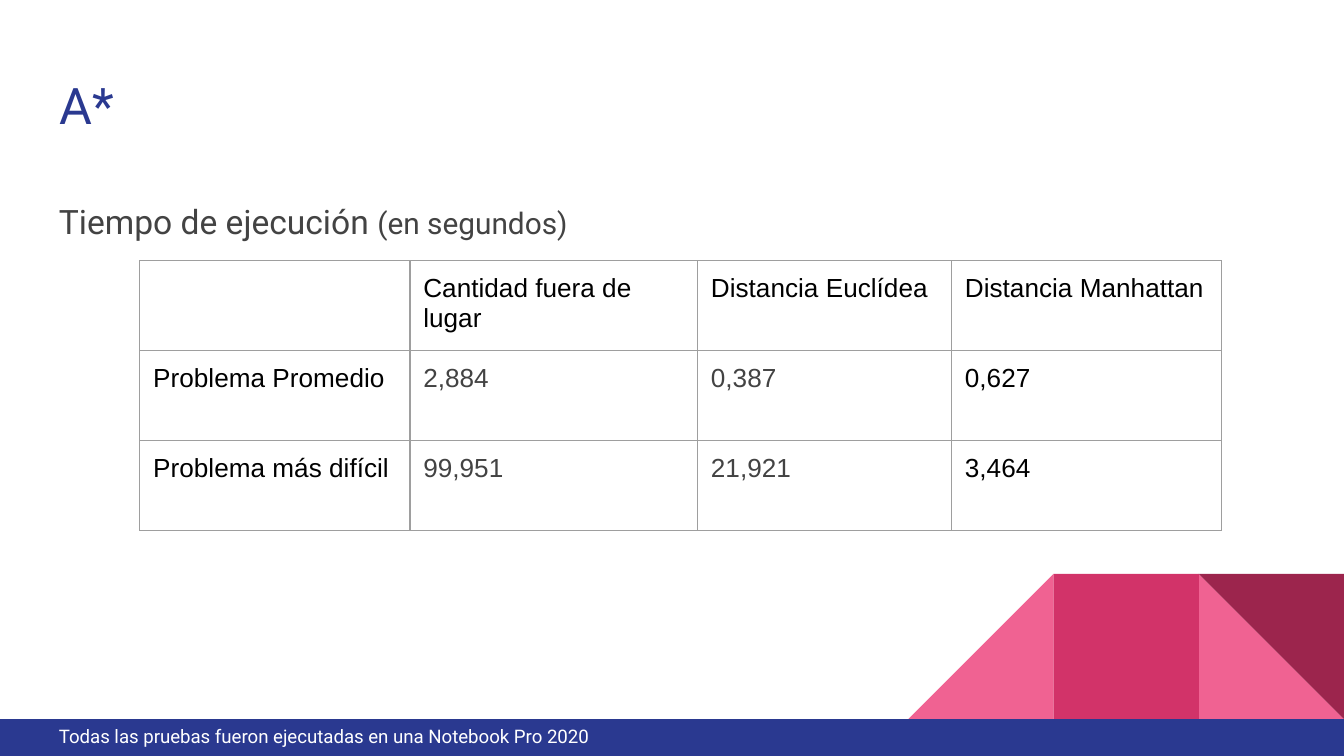
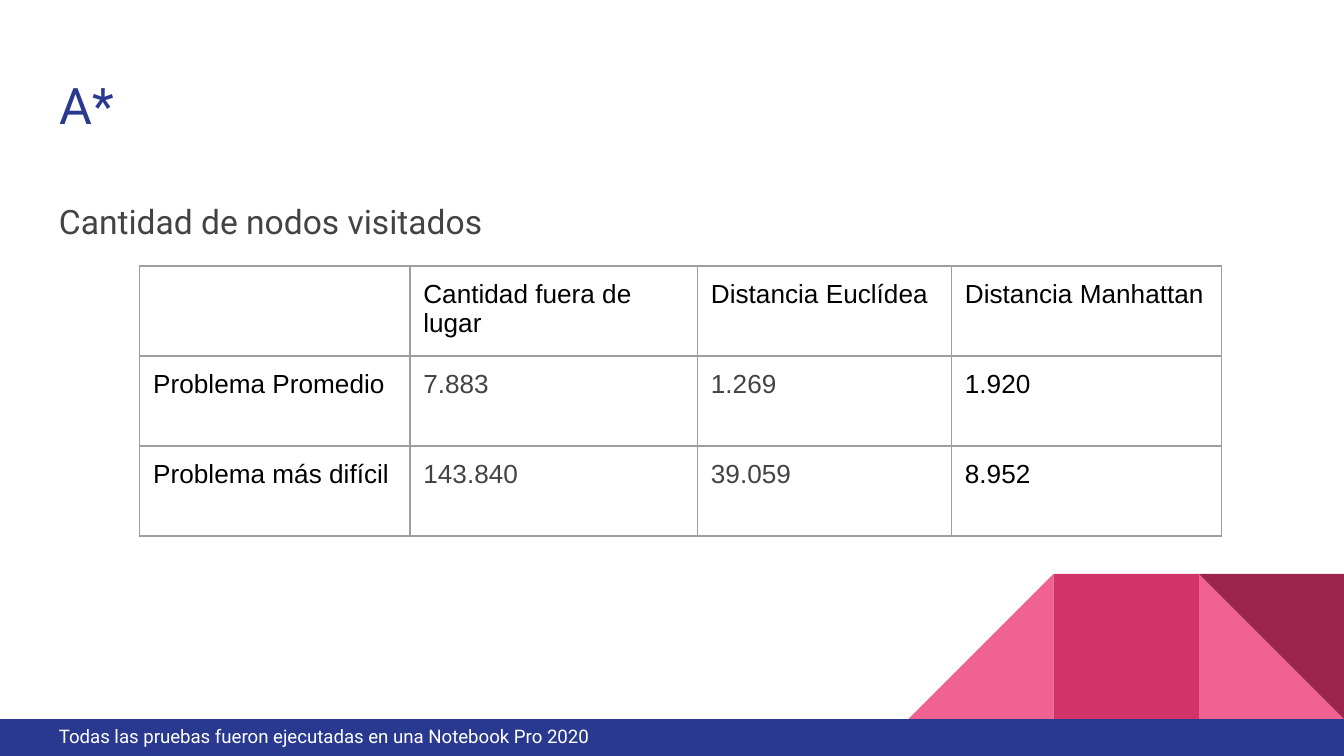
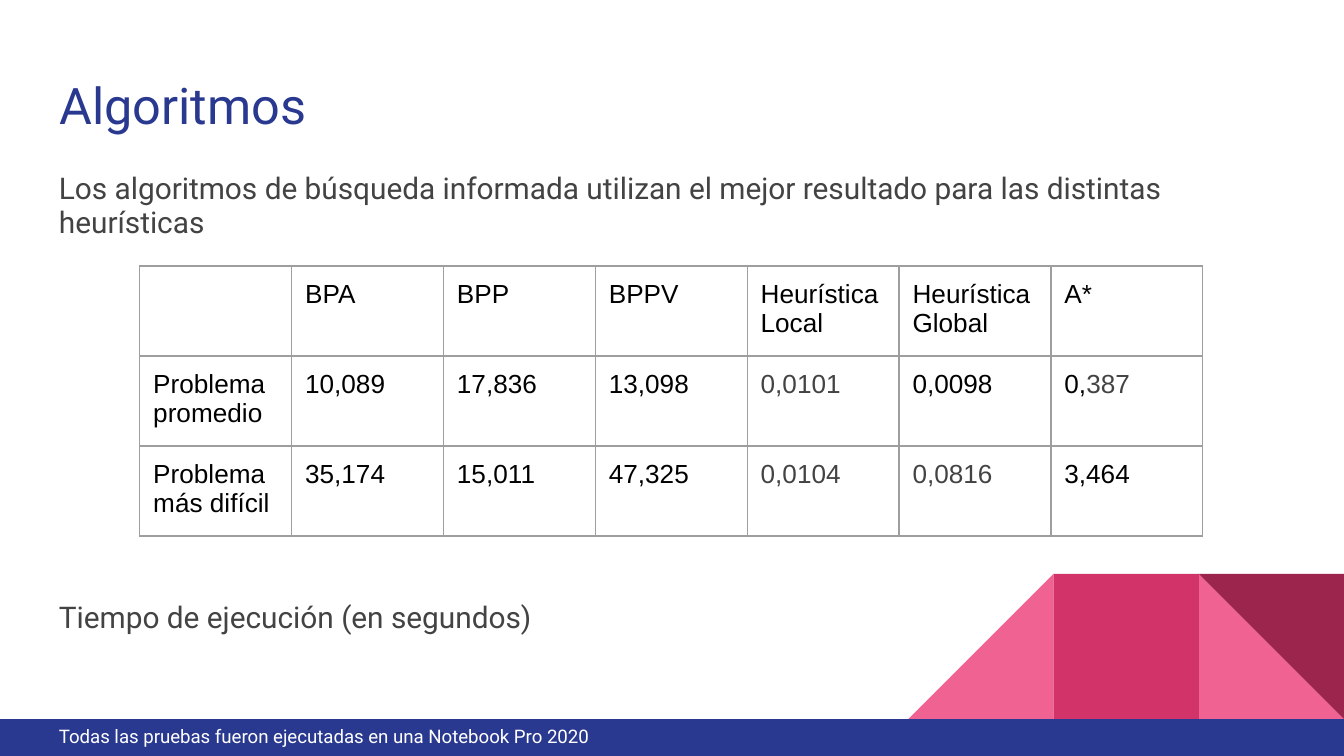
from dataclasses import dataclass
from typing import NamedTuple

import pptx
import pptx.dml.color
import pptx.enum.shapes
import pptx.enum.text
import pptx.oxml
import pptx.oxml.ns
import pptx.util

Inches = pptx.util.Inches
Pt = pptx.util.Pt
SHAPE = pptx.enum.shapes.MSO_SHAPE
ANCHOR = pptx.enum.text.MSO_ANCHOR
ALIGN = pptx.enum.text.PP_ALIGN

COLORS = {
    "background": "FFFFFF",
    "navy": "2A3990",
    "pink": "F06292",
    "rose": "D23369",
    "wine": "9C254D",
    "gray": "434343",
    "black": "000000",
    "white": "FFFFFF",
    "border": "9E9E9E",
}
INSET = Inches(0.1)
LEFT = 0.34
WIDTH = 9.32
TILE = 1.08
BAND_TOP = 5.35
TABLE_LEFT = 1.04
ROW_HEIGHT = 0.67
FOOTER = "Todas las pruebas fueron ejecutadas en una Notebook Pro 2020"


class Span(NamedTuple):
    text: str
    color: str = "black"
    size: float = 14
    font: str = "Arial"


Spans = tuple[Span, ...]


class Tile(NamedTuple):
    shape: SHAPE
    column: int
    color: str
    rotation: int = 0
    flipped: bool = False


@dataclass
class BodyLine:
    spans: Spans
    spacing: float
    before: float = 0
    after: float = 0


@dataclass
class ResultSlide:
    title: str
    body_top: float
    body: list[BodyLine]
    table_top: float
    columns: list[float]
    rows: list[list[Spans]]


TILES = [
    Tile(SHAPE.RIGHT_TRIANGLE, 2, "pink"),
    Tile(SHAPE.RIGHT_TRIANGLE, 0, "pink", flipped=True),
    Tile(SHAPE.RECTANGLE, 1, "rose"),
    Tile(SHAPE.RIGHT_TRIANGLE, 2, "wine", rotation=180),
]


def dark(text: str) -> Spans:
    return (Span(text),)


def muted(text: str) -> Spans:
    return (Span(text, "gray"),)


def body_span(text: str, size: float = 16) -> Span:
    return Span(text, "gray", size, "Roboto")


def rgb(name: str) -> pptx.dml.color.RGBColor:
    return pptx.dml.color.RGBColor.from_string(COLORS[name])


def set_font(font, span: Span) -> None:
    font.name = span.font
    font.size = Pt(span.size)
    font.color.rgb = rgb(span.color)


def write(p, spans: Spans) -> None:
    p.alignment = ALIGN.LEFT
    uniform = len({span[1:] for span in spans}) == 1
    if uniform:
        set_font(p.font, spans[0])
    for span in spans:
        r = p.add_run()
        r.text = span.text
        if not uniform:
            set_font(r.font, span)


def set_frame(tf) -> None:
    tf.word_wrap = True
    tf.auto_size = pptx.enum.text.MSO_AUTO_SIZE.NONE
    tf.vertical_anchor = ANCHOR.TOP
    tf.margin_left = tf.margin_right = tf.margin_top = tf.margin_bottom = INSET


def add_block(shapes, kind: SHAPE, left: float, top: float, width: float,
              height: float, color: str):
    sp = shapes.add_shape(kind, Inches(left), Inches(top), Inches(width), Inches(height))
    sp.shadow.inherit = False
    sp.fill.solid()
    sp.fill.fore_color.rgb = rgb(color)
    sp.line.fill.background()
    return sp


def add_decoration(s) -> None:
    group = s.shapes.add_group_shape()
    for tile in TILES:
        left = 10 - (3 - tile.column) * TILE
        sp = add_block(group.shapes, tile.shape, left, BAND_TOP - TILE, TILE, TILE, tile.color)
        sp.rotation = tile.rotation
        if tile.flipped:
            sp._element.spPr.get_or_add_xfrm().set("flipH", "1")
    add_block(group.shapes, SHAPE.RECTANGLE, 0, BAND_TOP, 10, 0.28, "navy")


def add_title(s, text: str) -> None:
    sp = s.shapes.title
    sp.left, sp.top = Inches(LEFT), Inches(0.45)
    sp.width, sp.height = Inches(WIDTH), Inches(0.66)
    tf = sp.text_frame
    set_frame(tf)
    p = tf.paragraphs[0]
    p.line_spacing = 1.0
    write(p, (Span(text, "navy", 27, "Roboto"),))


def add_text(s, top: float, width: float, height: float, lines: list[BodyLine]) -> None:
    sp = s.shapes.add_textbox(Inches(LEFT), Inches(top), Inches(width), Inches(height))
    tf = sp.text_frame
    set_frame(tf)
    for i, line in enumerate(lines):
        p = tf.paragraphs[0] if i == 0 else tf.add_paragraph()
        p.line_spacing = line.spacing
        p.space_before, p.space_after = Pt(line.before), Pt(line.after)
        write(p, line.spans)


def set_borders(cell) -> None:
    tc_pr = cell._tc.get_or_add_tcPr()
    ns = pptx.oxml.ns.nsdecls("a")
    for i, side in enumerate(("lnL", "lnR", "lnT", "lnB")):
        tc_pr.insert(i, pptx.oxml.parse_xml(
            f'<a:{side} {ns} w="{Pt(0.75)}"><a:solidFill>'
            f'<a:srgbClr val="{COLORS["border"]}"/></a:solidFill></a:{side}>'))


def add_results(s, top: float, columns: list[float], rows: list[list[Spans]]) -> None:
    table = s.shapes.add_table(
        len(rows), len(columns), Inches(TABLE_LEFT), Inches(top),
        Inches(sum(columns)), Inches(ROW_HEIGHT * len(rows))).table
    table.first_row = table.horz_banding = False
    for column, width in zip(table.columns, columns):
        column.width = Inches(width)
    for row, contents in zip(table.rows, rows):
        row.height = Inches(ROW_HEIGHT)
        for cell, spans in zip(row.cells, contents):
            cell.fill.background()
            set_borders(cell)
            cell.vertical_anchor = ANCHOR.TOP
            cell.margin_left = cell.margin_right = INSET
            cell.margin_top = cell.margin_bottom = INSET
            if spans:
                write(cell.text_frame.paragraphs[0], spans)


def a_star_slide(caption: Spans, table_top: float, average: list[str],
                 hardest: list[str]) -> ResultSlide:
    heads = ["Cantidad fuera de lugar", "Distancia Euclídea", "Distancia Manhattan"]
    rows = [[(), *map(dark, heads)]]
    for label, values in (("Problema Promedio", average), ("Problema más difícil", hardest)):
        rows.append([dark(label), *map(muted, values[:2]), dark(values[2])])
    return ResultSlide("A*", 1.35, [BodyLine(caption, 1.15)], table_top,
                       [2.01, 2.14, 1.89, 2.01], rows)


SLIDES = [
    a_star_slide(
        (body_span("Tiempo de ejecución ", 18), body_span("(en segundos)")), 1.94,
        ["2,884", "0,387", "0,627"], ["99,951", "21,921", "3,464"]),
    a_star_slide(
        (body_span("Cantidad de nodos visitados", 18),), 1.98,
        ["7.883", "1.269", "1.920"], ["143.840", "39.059", "8.952"]),
    ResultSlide(
        "Algoritmos", 1.18,
        [
            BodyLine((body_span("Los algoritmos de búsqueda informada utilizan el mejor "
                                "resultado para las distintas heurísticas"),), 0.95),
            BodyLine((body_span("Tiempo de ejecución (en segundos)"),), 0.95, 193.5, 12),
        ],
        1.98, [1.13] * 7,
        [
            [(), *map(dark, ["BPA", "BPP", "BPPV", "Heurística Local",
                             "Heurística Global", "A*"])],
            [*map(dark, ["Problema promedio", "10,089", "17,836", "13,098"]),
             muted("0,0101"), dark("0,0098"), dark("0,") + muted("387")],
            [*map(dark, ["Problema más difícil", "35,174", "15,011", "47,325"]),
             muted("0,0104"), muted("0,0816"), dark("3,464")],
        ]),
]


def main() -> None:
    prs = pptx.Presentation()
    prs.slide_width = Inches(10)
    prs.slide_height = prs.slide_width * 9 // 16
    fill = prs.slide_master.background.fill
    fill.solid()
    fill.fore_color.rgb = rgb("background")
    footer = [BodyLine((Span(FOOTER, "white", 10, "Roboto"),), 1.0)]
    for content in SLIDES:
        s = prs.slides.add_slide(prs.slide_layouts[5])
        add_decoration(s)
        add_title(s, content.title)
        add_text(s, content.body_top, WIDTH, 3.65, content.body)
        add_results(s, content.table_top, content.columns, content.rows)
        add_text(s, 5.29, 7.6, 0.37, footer)
    prs.save("out.pptx")


if __name__ == "__main__":
    main()
